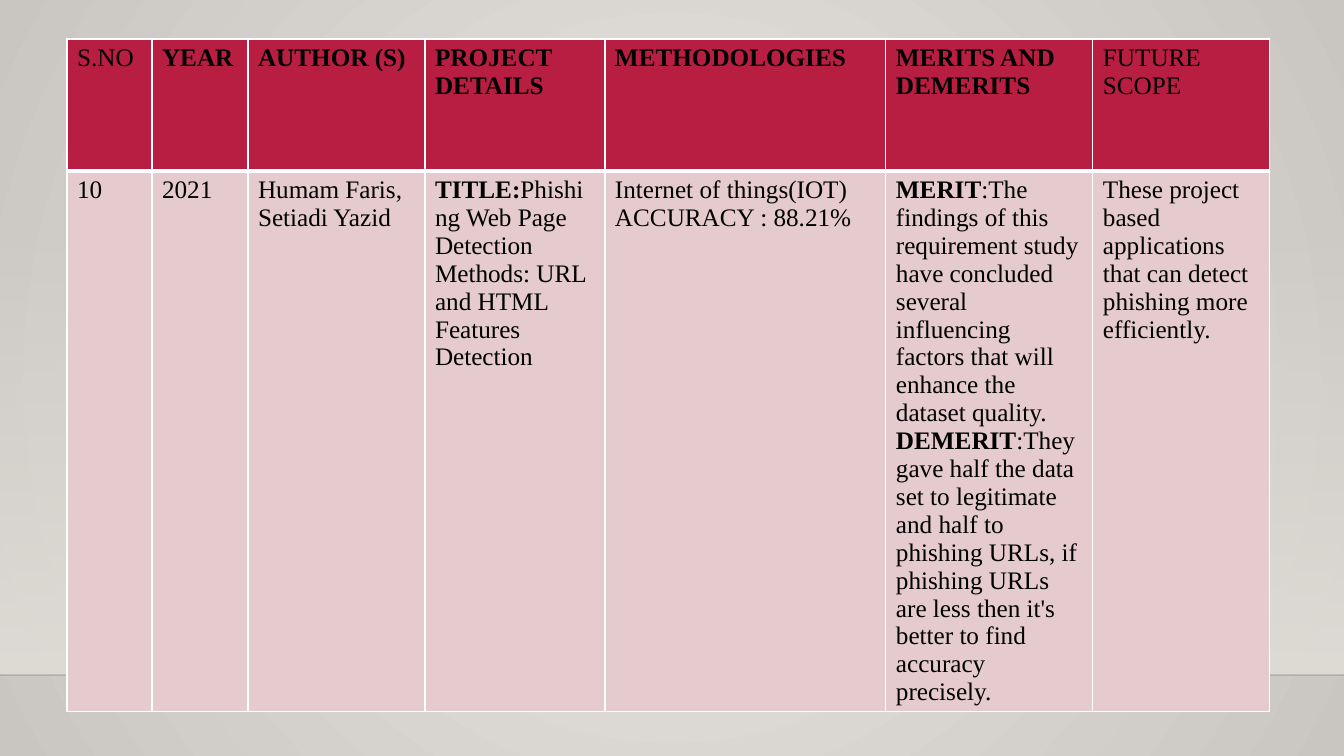
from lxml.etree import SubElement
from pptx import Presentation
from pptx.dml.color import RGBColor
from pptx.enum.shapes import MSO_CONNECTOR, MSO_SHAPE
from pptx.oxml import parse_xml
from pptx.oxml.ns import nsdecls, qn
from pptx.util import Pt

EMU_PER_PX = 914400 / 100.8
WIDTH, HEIGHT = 1344, 756
FONT = "Times New Roman"
COLORS = {
    "glow": "EBE9E6", "edge": "C9C5C0", "wall": "DFDBD5", "floor": "000001",
    "header": "B71E42", "body": "E5CBCD", "border": "FFFFFF", "text": "000000",
}


def px(length):
    return round(length * EMU_PER_PX)


def bold(text):
    return text, True


def plain(text):
    return text, False


def gradient(stops, direction):
    marks = "".join(
        f'<a:gs pos="{position * 1000}"><a:srgbClr val="{COLORS[name]}">'
        f'<a:alpha val="{alpha * 1000}"/></a:srgbClr></a:gs>'
        for position, name, alpha in stops
    )
    return parse_xml(
        f'<a:gradFill {nsdecls("a")} rotWithShape="1">'
        f'<a:gsLst>{marks}</a:gsLst>{direction}</a:gradFill>'
    )


class ReviewSlide:
    def __init__(self, deck):
        self.slide = deck.slides.add_slide(deck.slide_layouts[6])

    def backdrop(self, stops):
        self.slide.background.fill.solid()
        solid = next(self.slide.element.iter(qn("a:solidFill")))
        center = ('<a:path path="circle"><a:fillToRect l="50000" t="50000" '
                  'r="50000" b="50000"/></a:path>')
        solid.getparent().replace(solid, gradient(stops, center))

    def wall(self, left, top, width, height, stops):
        wall = self.slide.shapes.add_shape(
            MSO_SHAPE.RECTANGLE, px(left), px(top), px(width), px(height))
        wall.shadow.inherit = False
        wall.line.fill.background()
        wall.fill.solid()
        properties = wall.element.spPr
        downward = '<a:lin ang="5400000" scaled="0"/>'
        properties.replace(properties.find(qn("a:solidFill")),
                           gradient(stops, downward))

    def floor_line(self, left, right, y, name, opacity):
        floor = self.slide.shapes.add_connector(
            MSO_CONNECTOR.STRAIGHT, px(left), px(y), px(right), px(y))
        floor.line.width = Pt(1)
        floor.line.color.rgb = RGBColor.from_string(COLORS[name])
        properties = floor.element.spPr
        SubElement(next(properties.iter(qn("a:srgbClr"))), qn("a:alpha"),
                   val=str(opacity * 1000))
        SubElement(properties, qn("a:effectLst"))

    def table(self, left, top, widths, rows):
        heights = [height for height, _, _ in rows]
        table = self.slide.shapes.add_table(
            len(rows), len(widths), px(left), px(top),
            px(sum(widths)), px(sum(heights))).table
        for column, width in zip(table.columns, widths):
            column.width = px(width)
        for index, (height, fill, entries) in enumerate(rows):
            table.rows[index].height = px(height)
            borders = {"L": 1, "R": 1, "T": 3 if index else 1,
                       "B": 1 if index else 3}
            for cell, paragraphs in zip(table.rows[index].cells, entries):
                self.cell(cell, paragraphs, fill, borders)

    def cell(self, cell, paragraphs, fill, borders):
        properties = cell._tc.get_or_add_tcPr()
        for side, points in borders.items():
            properties.append(parse_xml(
                f'<a:ln{side} {nsdecls("a")} w="{Pt(points)}"><a:solidFill>'
                f'<a:srgbClr val="{COLORS["border"]}"/></a:solidFill></a:ln{side}>'))
        cell.fill.solid()
        cell.fill.fore_color.rgb = RGBColor.from_string(COLORS[fill])
        frame = cell.text_frame
        for index, runs in enumerate(paragraphs):
            paragraph = frame.add_paragraph() if index else frame.paragraphs[0]
            for text, is_bold in runs:
                run = paragraph.add_run()
                run.text = text
                run.font.name = FONT
                run.font.size = Pt(18)
                run.font.bold = is_bold
                run.font.color.rgb = RGBColor.from_string(COLORS["text"])


COLUMN_WIDTHS = [85, 96, 177, 180, 281, 207, 177]
HEADINGS = [
    [[plain("S.NO")]],
    [[bold("YEAR")]],
    [[bold("AUTHOR (S)")]],
    [[bold("PROJECT")], [bold("DETAILS")]],
    [[bold("METHODOLOGIES")]],
    [[bold("MERITS AND DEMERITS")]],
    [[plain("FUTURE SCOPE")]],
]
STUDY = [
    [[plain("10")]],
    [[plain("2021")]],
    [[plain("Humam Faris, Setiadi Yazid")]],
    [[bold("TITLE:"), plain("Phishing Web Page Detection")],
     [plain("Methods: URL")], [plain("and HTML")],
     [plain("Features")], [plain("Detection")]],
    [[plain("Internet of things(IOT)")], [plain("ACCURACY : 88.21%")]],
    [[bold("MERIT"),
      plain(":The findings of this requirement study have concluded several "
            "influencing factors that will enhance the dataset quality.")],
     [bold("DEMERIT"),
      plain(":They gave half the data set to legitimate and half to phishing "
            "URLs, if phishing URLs are less then it's better to find "
            "accuracy precisely.")]],
    [[plain("These project based applications that can detect phishing more "
            "efficiently.")]],
]


def main():
    deck = Presentation()
    deck.slide_width, deck.slide_height = px(WIDTH), px(HEIGHT)
    review = ReviewSlide(deck)
    review.backdrop([(0, "glow", 100), (100, "edge", 100)])
    review.wall(0, 223, WIDTH, 452, [(0, "wall", 0), (100, "wall", 100)])
    review.floor_line(0, WIDTH, 675, "floor", 20)
    review.table(67, 39, COLUMN_WIDTHS,
                 [(132, "header", HEADINGS), (540, "body", STUDY)])
    deck.save("out.pptx")


if __name__ == "__main__":
    main()
